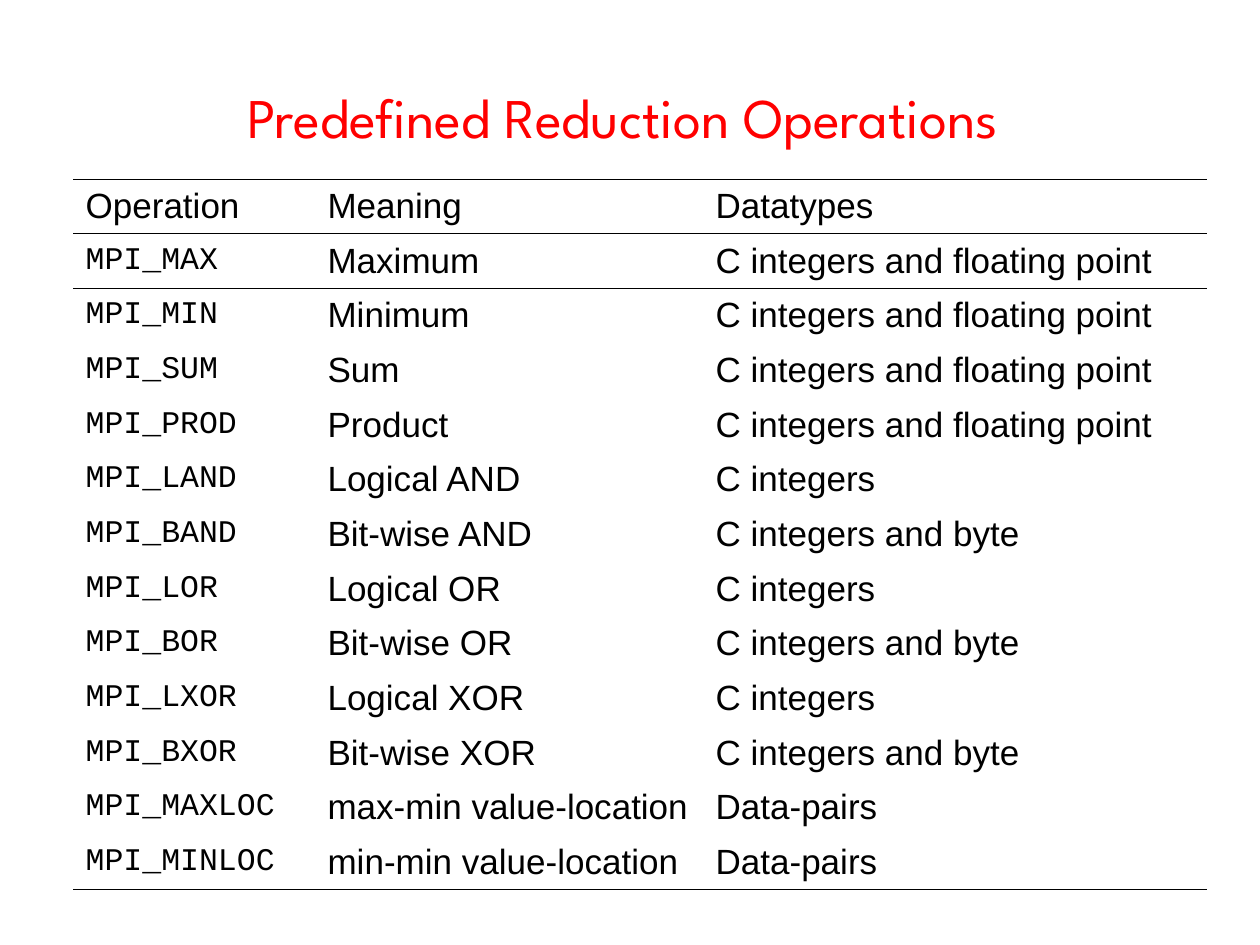
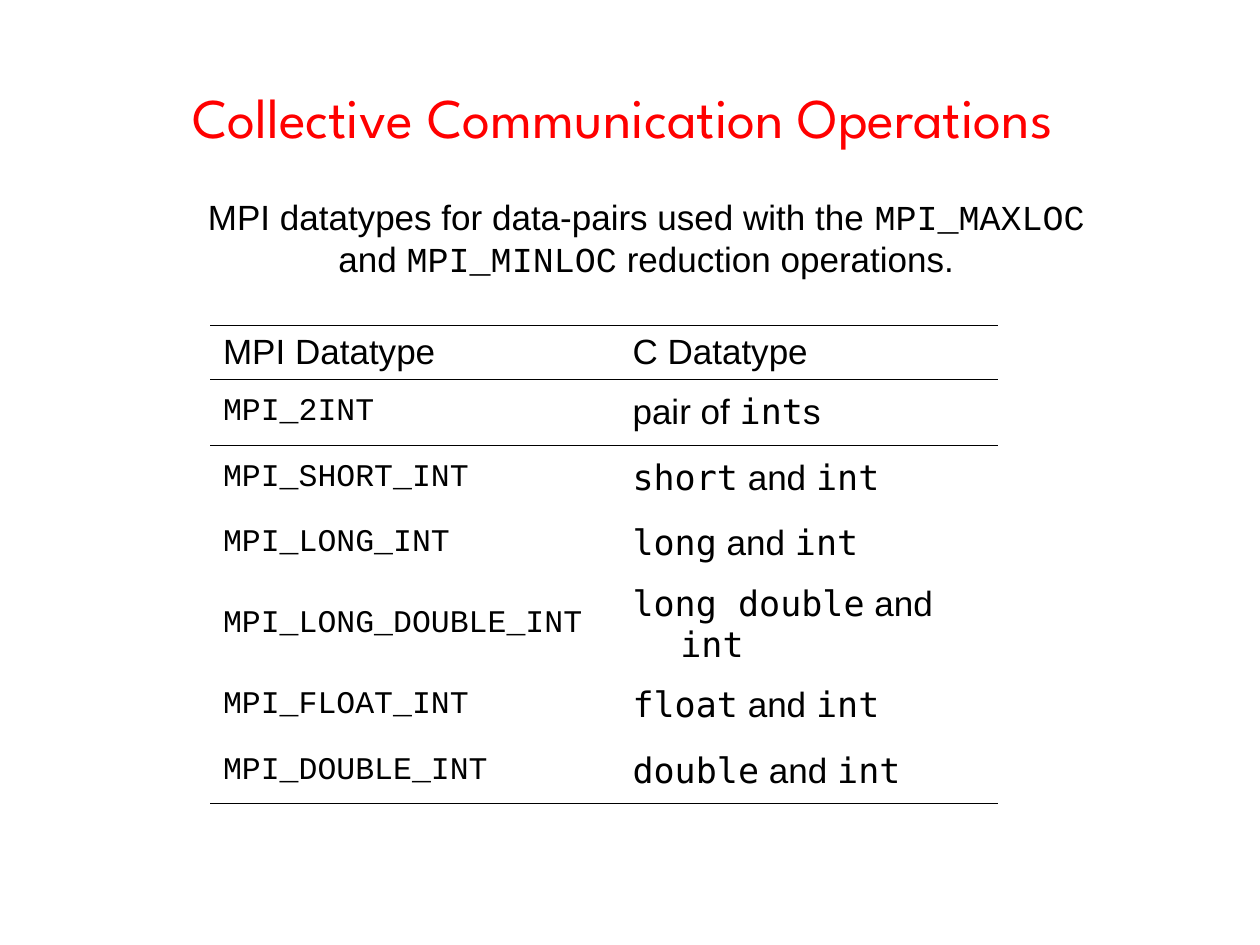
"""Build two slides on MPI reduction operations and their paired datatypes."""
import pptx
import pptx.util
import pptx.dml.color
import pptx.enum.text
import pptx.oxml
import pptx.oxml.ns
from dataclasses import dataclass

Inches = pptx.util.Inches
Pt = pptx.util.Pt
Align = pptx.enum.text.PP_ALIGN
Anchor = pptx.enum.text.MSO_ANCHOR
Fit = pptx.enum.text.MSO_AUTO_SIZE


@dataclass(frozen=True)
class Theme:
    red: str = "FF0000"
    ink: str = "000000"
    head: str = "League Spartan"
    body: str = "Arial"
    code: str = "Courier New"
    mono: str = "DejaVu Sans Mono"
    big: int = 32
    mid: int = 20
    small: int = 18
    rule: float = 0.45
    hang: float = 0.38
    plain: str = "{2D5ABB26-0587-4C30-8999-92F81FD0307C}"


LOOK = Theme()

REALS = "C integers and floating point"
INTS = "C integers"
BYTES = "C integers and byte"
PAIRS = "Data-pairs"

SLIDES = [
    {
        "title": "Predefined Reduction Operations ",
        "table": {
            "left": 0.58, "top": 1.42, "cols": [1.92, 3.08, 4],
            "first": 0.43, "rest": 0.43,
            "rows": [
                ("Operation", "Meaning", "Datatypes"),
                ("MPI_MAX", "Maximum", REALS),
                ("MPI_MIN", "Minimum", REALS),
                ("MPI_SUM", "Sum", REALS),
                ("MPI_PROD", "Product", REALS),
                ("MPI_LAND", "Logical AND", INTS),
                ("MPI_BAND", "Bit-wise AND", BYTES),
                ("MPI_LOR", "Logical OR", INTS),
                ("MPI_BOR", "Bit-wise OR", BYTES),
                ("MPI_LXOR", "Logical XOR", INTS),
                ("MPI_BXOR", "Bit-wise XOR", BYTES),
                ("MPI_MAXLOC", "max-min value-location", PAIRS),
                ("MPI_MINLOC", "min-min value-location", PAIRS),
            ],
        },
    },
    {
        "title": "Collective Communication Operations ",
        "note": "MPI datatypes for data-pairs used with the `MPI_MAXLOC`"
                " and `MPI_MINLOC` reduction operations.",
        "table": {
            "left": 1.67, "top": 2.58, "cols": [3.25, 3],
            "first": 0.43, "rest": 0.52,
            "rows": [
                ("MPI Datatype", "C Datatype"),
                ("MPI_2INT", "pair of `int`s"),
                ("MPI_SHORT_INT", "`short` and `int`"),
                ("MPI_LONG_INT", "`long` and `int`"),
                ("MPI_LONG_DOUBLE_INT", "`long double` and `int`"),
                ("MPI_FLOAT_INT", "`float` and `int`"),
                ("MPI_DOUBLE_INT", "`double` and `int`"),
            ],
        },
    },
]


def write(frame, text, *, font=LOOK.body, code=LOOK.code, size=LOOK.mid,
          color=LOOK.ink, align=Align.LEFT, hang=0):
    """Fill a frame with text, setting parts in backticks in the code font."""
    para = frame.paragraphs[0]
    para.alignment = align
    if hang:
        props = para._p.get_or_add_pPr()
        props.set("marL", str(Inches(hang)))
        props.set("indent", str(-Inches(hang)))
    for turn, part in enumerate(text.split("`")):
        if part:
            run = para.add_run()
            run.text = part
            run.font.name = code if turn % 2 else font
            run.font.size = Pt(size)
            run.font.color.rgb = pptx.dml.color.RGBColor.from_string(color)


def add_box(slide, place, text, anchor, **style):
    """Add a wrapped text box."""
    frame = slide.shapes.add_textbox(*map(Inches, place)).text_frame
    frame.word_wrap = True
    frame.vertical_anchor = anchor
    write(frame, text, align=Align.CENTER, **style)
    return frame


def draw_rule(cell, side):
    """Draw a thin line on the top (T) or bottom (B) of a cell."""
    space = pptx.oxml.ns.nsdecls("a")
    cell._tc.get_or_add_tcPr().append(pptx.oxml.parse_xml(
        f'<a:ln{side} {space} w="{Pt(LOOK.rule)}"><a:solidFill>'
        f'<a:srgbClr val="{LOOK.ink}"/></a:solidFill></a:ln{side}>'))


def add_grid(slide, left, top, cols, first, rest, rows):
    """Add a table ruled above and below its header and at its foot."""
    high = [first] + [rest] * (len(rows) - 1)
    place = map(Inches, (left, top, sum(cols), sum(high)))
    grid = slide.shapes.add_table(len(rows), len(cols), *place).table
    grid.first_row = grid.horz_banding = False
    grid._tbl.tblPr.find(pptx.oxml.ns.qn("a:tableStyleId")).text = LOOK.plain
    for col, width in zip(grid.columns, cols):
        col.width = Inches(width)
    for y, texts in enumerate(rows):
        grid.rows[y].height = Inches(high[y])
        for x, text in enumerate(texts):
            cell = grid.cell(y, x)
            cell.vertical_anchor = Anchor.MIDDLE
            cell.margin_left = cell.margin_right = Inches(0.1)
            cell.margin_top = cell.margin_bottom = Inches(0.05)
            if y < 2:
                draw_rule(cell, "T")
            if y in (0, len(rows) - 1):
                draw_rule(cell, "B")
            cell.fill.background()
            name = y > 0 and x == 0
            write(cell.text_frame, text, hang=LOOK.hang, code=LOOK.mono,
                  font=LOOK.code if name else LOOK.body,
                  size=LOOK.small if name else LOOK.mid)


def main():
    """Build and save the deck."""
    deck = pptx.Presentation()
    deck.slide_width, deck.slide_height = Inches(10), Inches(7.5)
    for page in SLIDES:
        slide = deck.slides.add_slide(deck.slide_layouts[6])
        add_box(slide, (0.5, 0.3, 9, 1.25), page["title"], Anchor.MIDDLE,
                font=LOOK.head, size=LOOK.big, color=LOOK.red)
        if "note" in page:
            note = add_box(slide, (1.42, 1.5, 7.42, 0.77), page["note"],
                           Anchor.TOP)
            note.auto_size = Fit.SHAPE_TO_FIT_TEXT
        add_grid(slide, **page["table"])
    deck.save("out.pptx")


if __name__ == "__main__":
    main()
